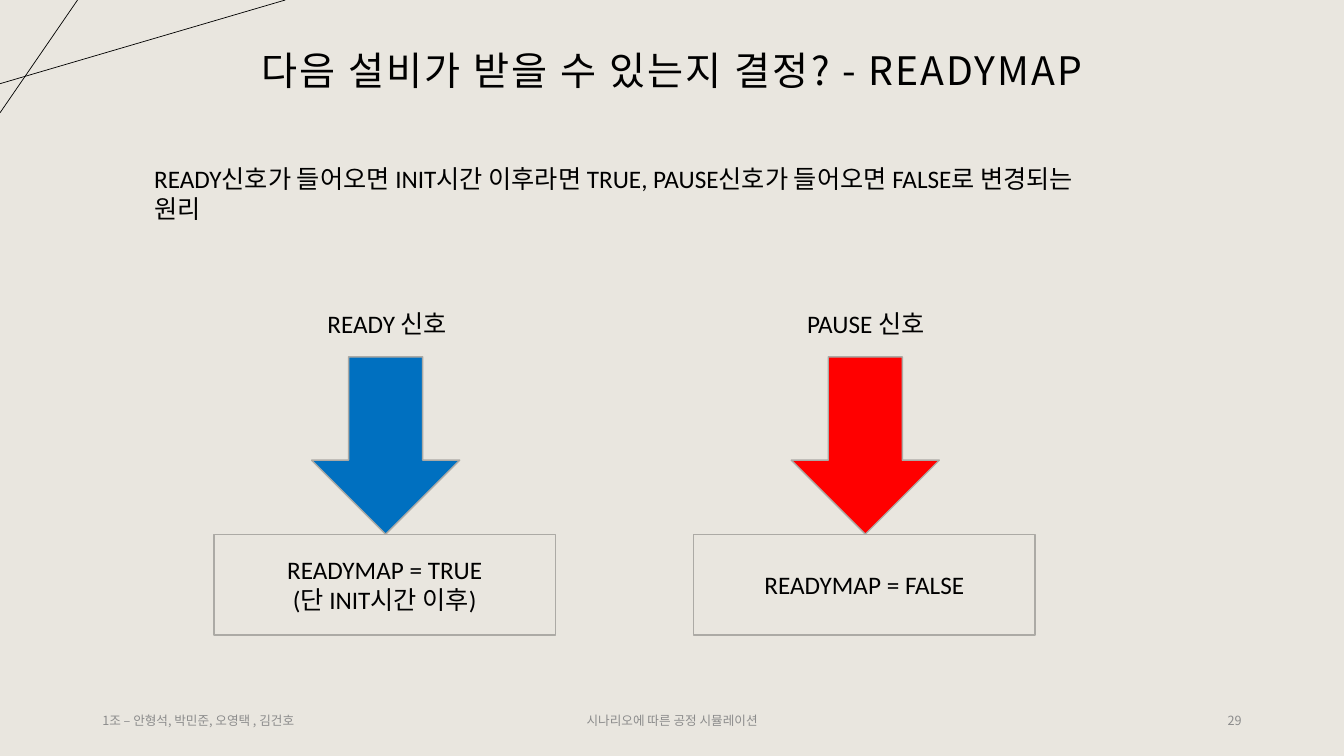
"""Builds the READYMAP decision slide: two signals and the state each one sets."""
from dataclasses import dataclass

from lxml import etree
from pptx import Presentation
from pptx.dml.color import RGBColor
from pptx.enum import shapes, text
from pptx.oxml.ns import qn
from pptx.util import Pt


@dataclass(frozen=True)
class Theme:
    paper: RGBColor = RGBColor.from_string("E9E6DF")
    ink: RGBColor = RGBColor.from_string("000000")
    muted: RGBColor = RGBColor.from_string("8C8C8C")
    border: RGBColor = RGBColor.from_string("ACAAA5")
    ready: RGBColor = RGBColor.from_string("0070C0")
    pause: RGBColor = RGBColor.from_string("FF0000")
    latin: str = "Calibri"
    korean: str = "Noto Sans CJK KR"
    title: int = 28
    body: int = 18
    footer: int = 9


theme = Theme()
LEFT, CENTER, RIGHT = text.PP_ALIGN.LEFT, text.PP_ALIGN.CENTER, text.PP_ALIGN.RIGHT
TOP, MIDDLE = text.MSO_ANCHOR.TOP, text.MSO_ANCHOR.MIDDLE


def write(box, lines, size, font, color, align=LEFT, anchor=TOP):
    """Fill a box with one paragraph per line in a single style."""
    frame = box.text_frame
    frame.word_wrap = True
    frame.auto_size = text.MSO_AUTO_SIZE.NONE
    frame.vertical_anchor = anchor
    frame.text = "\n".join(lines)
    for para in frame.paragraphs:
        para.alignment = align
        para.font.size = Pt(size)
        para.font.name = font
        para.font.color.rgb = color
        defaults = para._p.pPr.find(qn("a:defRPr"))
        etree.SubElement(defaults, qn("a:ea")).set("typeface", theme.korean)


def add_block(kind, left, top, width, height, fill):
    """Add a bordered preset shape without a shadow."""
    block = page.shapes.add_shape(kind, Pt(left), Pt(top), Pt(width), Pt(height))
    block.shadow.inherit = False
    block.fill.solid()
    block.fill.fore_color.rgb = fill
    block.line.color.rgb = theme.border
    block.line.width = Pt(1)
    return block


deck = Presentation()
deck.slide_width, deck.slide_height = Pt(960), Pt(540)
page = deck.slides.add_slide(deck.slide_layouts[5])
page.background.fill.solid()
page.background.fill.fore_color.rgb = theme.paper

for x1, y1, x2, y2 in [(0, 59.8, 203.8, 0), (55.4, 0, 0, 80.6)]:
    line = page.shapes.add_connector(
        shapes.MSO_CONNECTOR.STRAIGHT, Pt(x1), Pt(y1), Pt(x2), Pt(y2))
    line.line.color.rgb = theme.ink
    line.line.width = Pt(0.5)
    etree.SubElement(line._element.spPr, qn("a:effectLst"))

title = page.shapes.title
title.left, title.top, title.width, title.height = Pt(66), Pt(0), Pt(828), Pt(104.4)
write(title, ["다음 설비가 받을 수 있는지 결정? - READYMAP"],
      theme.title, theme.korean, theme.ink, CENTER, MIDDLE)
heading = title.text_frame.paragraphs[0]
heading.line_spacing = 0.9
heading.runs[0]._r.get_or_add_rPr().set("spc", "150")

statement = page.shapes.add_textbox(Pt(103), Pt(113), Pt(695.5), Pt(51))
write(statement,
      ["READY신호가 들어오면 INIT시간 이후라면 TRUE, PAUSE신호가 들어오면 FALSE로 변경되는 원리"],
      theme.body, theme.latin, theme.ink)

signals = [
    ("READY 신호", theme.ready, ["READYMAP = TRUE", "(단 INIT시간 이후)"]),
    ("PAUSE 신호", theme.pause, ["READYMAP = FALSE"]),
]
for column, (signal, color, outcome) in enumerate(signals):
    left = 152.8 + column * 342.6
    result = add_block(shapes.MSO_SHAPE.RECTANGLE, left, 381.6, 244, 72, theme.paper)
    write(result, outcome, theme.body, theme.latin, theme.ink, CENTER, MIDDLE)
    add_block(shapes.MSO_SHAPE.DOWN_ARROW, left + 69.8, 254.9, 105.8, 126.7, color)
    label = page.shapes.add_textbox(Pt(left + 74), Pt(216.7), Pt(108.7), Pt(29))
    write(label, [signal], theme.body, theme.latin, theme.ink)

footers = [
    (66, 216, LEFT, "1조 – 안형석, 박민준, 오영택 , 김건호"),
    (318, 324, CENTER, "시나리오에 따른 공정 시뮬레이션"),
    (678, 216, RIGHT, "29"),
]
for left, width, align, wording in footers:
    footer = page.shapes.add_textbox(Pt(left), Pt(500.5), Pt(width), Pt(28.8))
    write(footer, [wording], theme.footer, theme.korean, theme.muted, align, MIDDLE)

deck.save("out.pptx")
